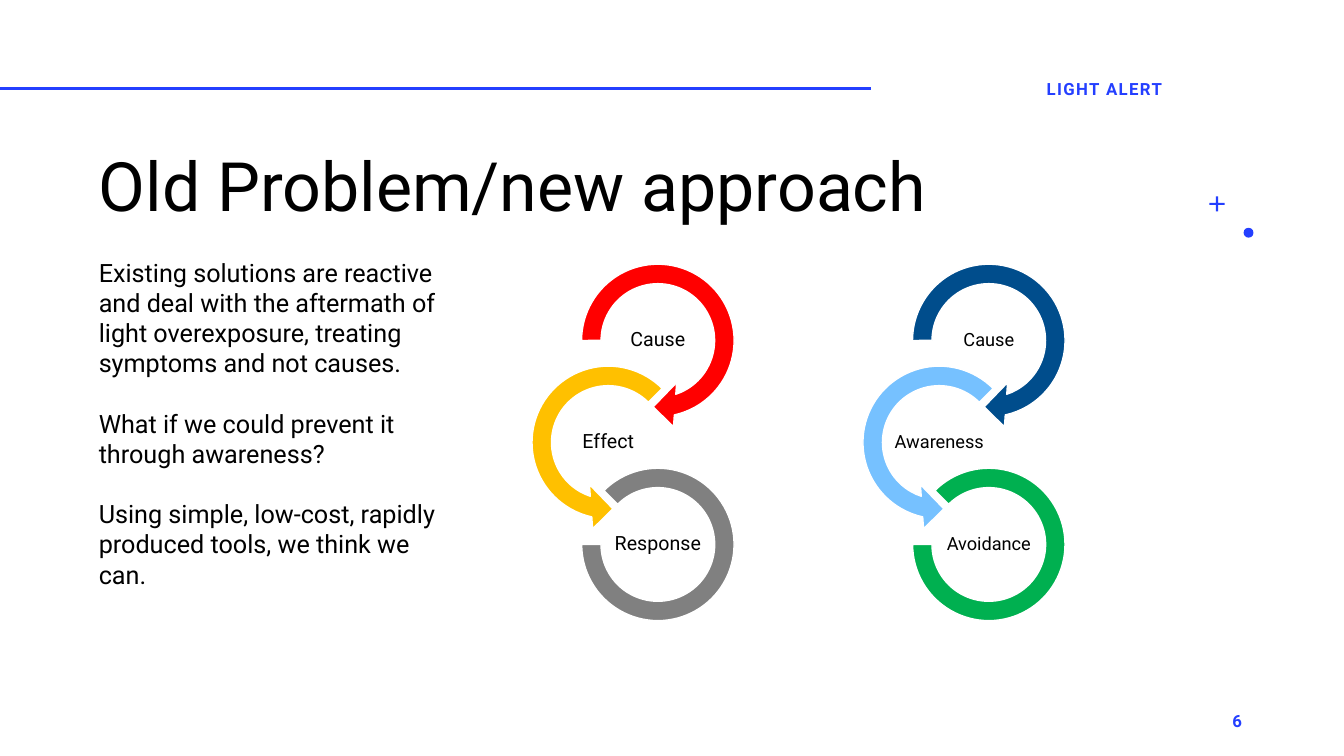
"""Build the slide "Old Problem/new approach" with two chains of ring arrows."""
from dataclasses import dataclass

from lxml import etree
from pptx import Presentation
from pptx.dml.color import RGBColor
from pptx.enum.shapes import MSO_CONNECTOR, MSO_SHAPE
from pptx.enum.text import MSO_ANCHOR, MSO_AUTO_SIZE, PP_ALIGN
from pptx.oxml.ns import qn
from pptx.util import Cm, Pt

LEFT, CENTER, RIGHT = PP_ALIGN.LEFT, PP_ALIGN.CENTER, PP_ALIGN.RIGHT
TOP, MIDDLE = MSO_ANCHOR.TOP, MSO_ANCHOR.MIDDLE
NO_AUTOSIZE = MSO_AUTO_SIZE.NONE
STRAIGHT = MSO_CONNECTOR.STRAIGHT
OVAL, CROSS = MSO_SHAPE.OVAL, MSO_SHAPE.CROSS
RIGHT_TURN = MSO_SHAPE.CIRCULAR_ARROW
LEFT_TURN = MSO_SHAPE.LEFT_CIRCULAR_ARROW
OPEN_RING = MSO_SHAPE.BLOCK_ARC

TITLE = "Old Problem/new approach"
HEADER = "LIGHT ALERT"
PAGE_NUMBER = "6"
ARGUMENT = [
    "Existing solutions are reactive and deal with the aftermath of light "
    "overexposure, treating symptoms and not causes.",
    "What if we could prevent it through awareness?",
    "Using simple, low-cost, rapidly produced tools, we think we can.",
]
CHAINS = [
    {"center": 16.58, "size": 14,
     "steps": [("Cause", "FF0000"), ("Effect", "FFC000"), ("Response", "808080")]},
    {"center": 24.92, "size": 13,
     "steps": [("Cause", "004D8C"), ("Awareness", "76C1FF"), ("Avoidance", "00B050")]},
]
RINGS = [
    (RIGHT_TURN, 4.47, 0, (0.11, 11.42, 45, 108, 0.125)),
    (LEFT_TURN, 4.47, -1.25, (0.11, 11.42, 63, 189, 0.125)),
    (OPEN_RING, 3.84, 0, (135, 108, 0.127)),
]
FIRST_RING_Y, RING_STEP = 8.58, 2.57
LABEL_WIDTH, LABEL_HEIGHT, LABEL_INSET = 2.49, 1.24, 0.03


@dataclass(frozen=True)
class Theme:
    """Colours, font and type sizes of the slide."""

    font: str = "Roboto"
    accent: str = "243FFF"
    ink: str = "000000"
    paper: str = "FFFFFF"
    title: float = 48.6
    body: float = 18
    small: float = 12
    body_gap: float = 21.5


THEME = Theme()


def rgb(code):
    """Return the colour for a hex code."""
    return RGBColor.from_string(code)


def write(frame, lines, size, color=THEME.ink, align=LEFT, anchor=TOP,
          bold=False, spacing=None, gap=0):
    """Fill a text frame with one paragraph per line."""
    frame.word_wrap = True
    frame.auto_size = NO_AUTOSIZE
    frame.vertical_anchor = anchor
    for index, line in enumerate(lines):
        paragraph = frame.add_paragraph() if index else frame.paragraphs[0]
        paragraph.text = line
        paragraph.alignment = align
        if spacing:
            paragraph.line_spacing = spacing
        if index:
            paragraph.space_before = Pt(gap)
        font = paragraph.font
        font.name, font.size, font.bold = THEME.font, Pt(size), bold
        font.color.rgb = rgb(color)


def add_text(slide, box, lines, size, **style):
    """Add a text box and return its frame."""
    frame = slide.shapes.add_textbox(*map(Cm, box)).text_frame
    write(frame, lines, size, **style)
    return frame


def add_figure(slide, kind, box, color, adjustments=()):
    """Add a filled preset shape without an outline."""
    figure = slide.shapes.add_shape(kind, *map(Cm, box))
    figure.shadow.inherit = False
    figure.fill.solid()
    figure.fill.fore_color.rgb = rgb(color)
    figure.line.fill.background()
    for index, value in enumerate(adjustments):
        figure.adjustments[index] = value
    return figure


def add_decoration(slide):
    """Draw the header rule, the dot, the plus and the small captions."""
    rule = slide.shapes.add_connector(STRAIGHT, Cm(0), Cm(2.24), Cm(21.95), Cm(2.24))
    rule.line.color.rgb = rgb(THEME.accent)
    rule.line.width = Pt(2)
    etree.SubElement(rule._element.spPr, qn("a:effectLst"))
    add_figure(slide, OVAL, (31.34, 5.74, 0.25, 0.25), THEME.accent)
    add_figure(slide, CROSS, (30.48, 4.95, 0.38, 0.38), THEME.accent, (0.43,))
    for caption, box, align in [
        (HEADER, (22.12, 1.73, 11.43, 1.02), CENTER),
        (PAGE_NUMBER, (23.93, 17.65, 7.62, 1.02), RIGHT),
    ]:
        frame = add_text(slide, box, [caption], THEME.small, color=THEME.accent,
                         align=align, anchor=MIDDLE, bold=True)
        frame.paragraphs[0].runs[0]._r.get_or_add_rPr().set("spc", "100")


def add_chain(slide, chain):
    """Draw three linked rings with a label in the middle of each."""
    for row, (step, ring) in enumerate(zip(chain["steps"], RINGS)):
        label, color = step
        kind, size, shift, adjustments = ring
        x = chain["center"] + shift
        y = FIRST_RING_Y + row * RING_STEP
        figure = add_figure(slide, kind, (x - size / 2, y - size / 2, size, size),
                            color, adjustments)
        figure.line.color.rgb = rgb(THEME.paper)
        figure.line.width = Pt(1)
        box = (x - LABEL_WIDTH / 2, y - LABEL_HEIGHT / 2, LABEL_WIDTH, LABEL_HEIGHT)
        frame = add_text(slide, box, [label], chain["size"], align=CENTER,
                         anchor=MIDDLE, spacing=0.9)
        frame.margin_left = frame.margin_right = Cm(LABEL_INSET)
        frame.margin_top = frame.margin_bottom = Cm(LABEL_INSET)


def main():
    """Assemble and save the slide."""
    deck = Presentation()
    deck.slide_width, deck.slide_height = Cm(33.87), Cm(19.05)
    slide = deck.slides.add_slide(deck.slide_layouts[5])
    title = slide.shapes.title
    title.left, title.top, title.width, title.height = map(Cm, (2.24, 3.71, 24.56, 3.28))
    write(title.text_frame, [TITLE], THEME.title, spacing=0.9)
    add_decoration(slide)
    add_text(slide, (2.24, 6.35, 9.55, 9.5), ARGUMENT, THEME.body, gap=THEME.body_gap)
    for chain in CHAINS:
        add_chain(slide, chain)
    deck.save("out.pptx")


if __name__ == "__main__":
    main()
